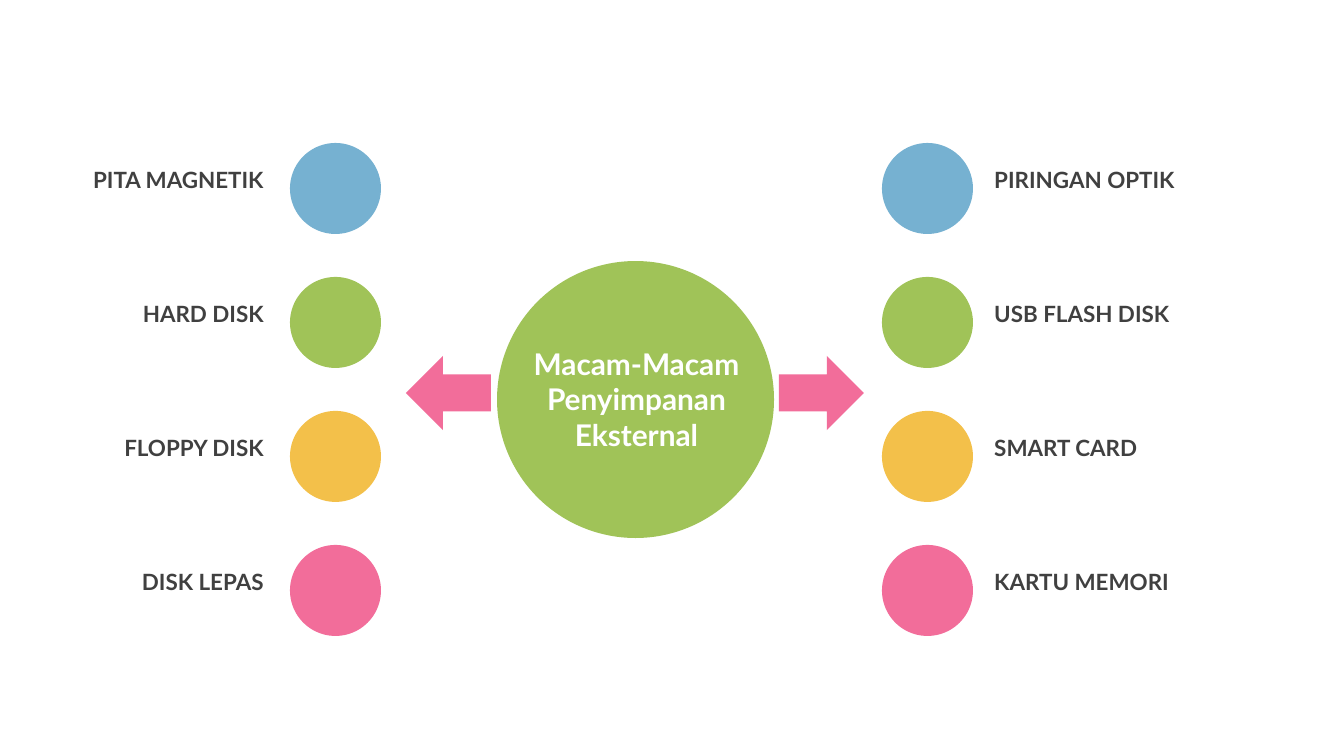
from pptx import Presentation
from pptx.dml.color import RGBColor
from pptx.enum.shapes import MSO_SHAPE
from pptx.enum.text import MSO_ANCHOR, PP_ALIGN
from pptx.util import Emu, Pt

CIRCLE = MSO_SHAPE.OVAL
LEFT_ARROW, RIGHT_ARROW = MSO_SHAPE.LEFT_ARROW, MSO_SHAPE.RIGHT_ARROW
LEFT, CENTER, RIGHT = PP_ALIGN.LEFT, PP_ALIGN.CENTER, PP_ALIGN.RIGHT
TOP, MIDDLE = MSO_ANCHOR.TOP, MSO_ANCHOR.MIDDLE

EMU_PER_PX = 914400 / 134.4
BLUE, GREEN, YELLOW, PINK = "76B1D1", "A0C358", "F3C04A", "F26D9A"
WHITE, DARK_GRAY = "FFFFFF", "404040"
DOT_COLORS = (BLUE, GREEN, YELLOW, PINK)

DOT_TOP, DOT_SIZE = 143, 91
LABEL_TOP, LABEL_WIDTH, LABEL_HEIGHT = 160, 417, 40
ROW_STEP = 134

# dot left, label left, label alignment, labels
COLUMNS = (
    (290, -140, RIGHT, ("PITA MAGNETIK", "HARD DISK", "FLOPPY DISK", "DISK LEPAS")),
    (882, 981, LEFT, ("PIRINGAN OPTIK", "USB FLASH DISK", "SMART CARD", "KARTU MEMORI")),
)


def px(length):
    return Emu(round(length * EMU_PER_PX))


def color(value):
    return RGBColor.from_string(value)


def add_solid(page, kind, left, top, width, height, fill):
    """Add a filled preset shape without outline or shadow."""
    shape = page.shapes.add_shape(kind, px(left), px(top), px(width), px(height))
    shape.shadow.inherit = False
    shape.fill.solid()
    shape.fill.fore_color.rgb = color(fill)
    shape.line.fill.background()


def add_text(page, text, left, top, width, height, size, ink, align, anchor=TOP):
    box = page.shapes.add_textbox(px(left), px(top), px(width), px(height))
    frame = box.text_frame
    frame.word_wrap = True
    frame.vertical_anchor = anchor
    para = frame.paragraphs[0]
    para.alignment = align
    span = para.add_run()
    span.text = text
    for name, value in {"name": "Lato", "size": Pt(size), "bold": True}.items():
        setattr(span.font, name, value)
    span.font.color.rgb = color(ink)


def add_hub(page):
    """Add the central circle with its title and the two arrows."""
    add_solid(page, CIRCLE, 497, 261, 277, 277, GREEN)
    add_text(page, "Macam-Macam Penyimpanan Eksternal",
             499, 342, 275, 114, 16, WHITE, CENTER, MIDDLE)
    for kind, left in ((LEFT_ARROW, 406), (RIGHT_ARROW, 779)):
        add_solid(page, kind, left, 356, 85, 74, PINK)


def add_column(page, dot_left, label_left, align, labels):
    for row, (label, fill) in enumerate(zip(labels, DOT_COLORS)):
        offset = row * ROW_STEP
        add_solid(page, CIRCLE, dot_left, DOT_TOP + offset, DOT_SIZE, DOT_SIZE, fill)
        add_text(page, label, label_left, LABEL_TOP + offset,
                 LABEL_WIDTH, LABEL_HEIGHT, 12, DARK_GRAY, align)


def main():
    deck = Presentation()
    deck.slide_width, deck.slide_height = px(1344), px(756)
    page = deck.slides.add_slide(deck.slide_layouts[6])
    add_hub(page)
    for column in COLUMNS:
        add_column(page, *column)
    deck.save("out.pptx")


if __name__ == "__main__":
    main()
